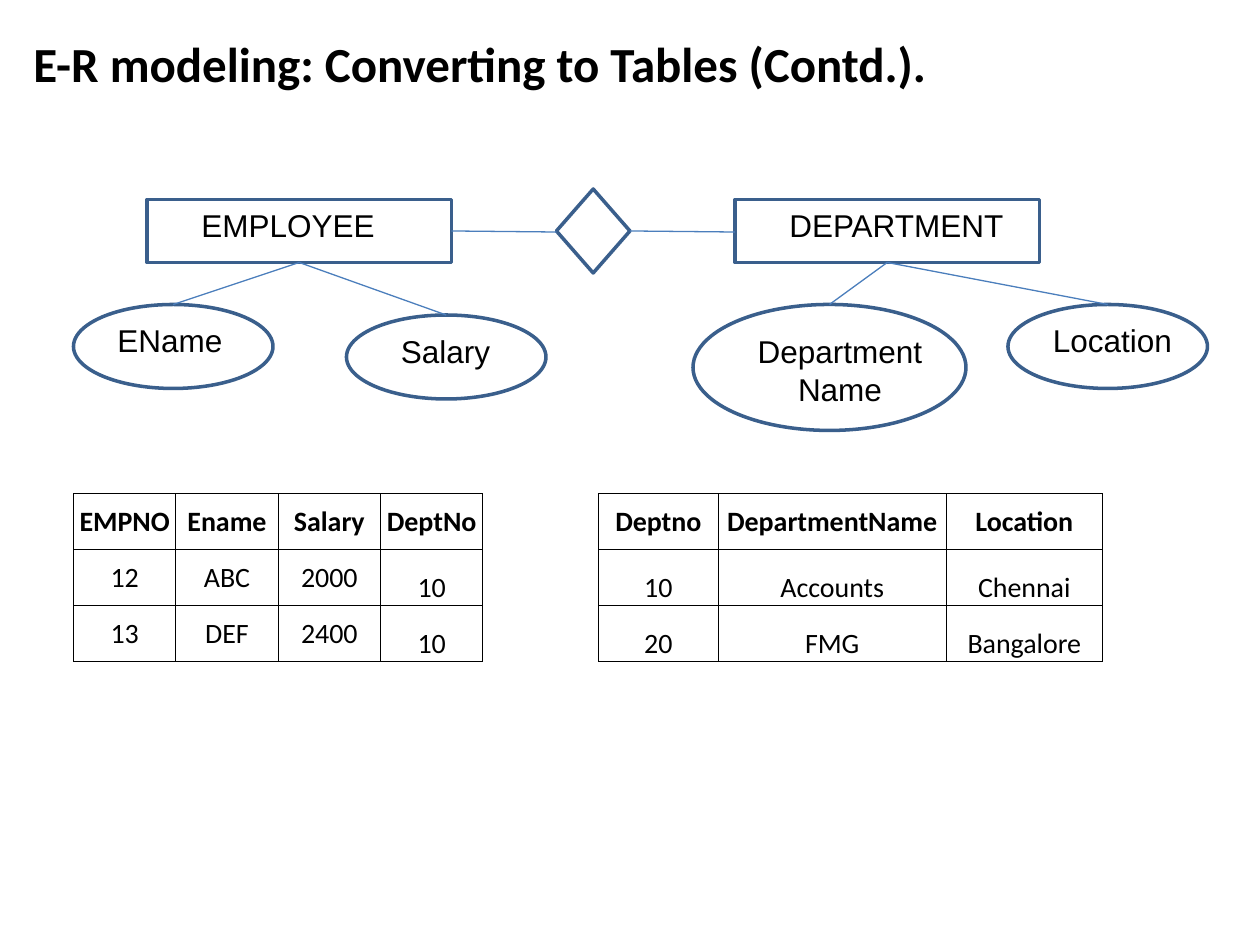
from dataclasses import dataclass

from lxml.etree import SubElement
from pptx import Presentation
from pptx.dml.color import RGBColor
from pptx.enum.shapes import MSO_CONNECTOR, MSO_SHAPE
from pptx.enum.text import MSO_ANCHOR, MSO_AUTO_SIZE, PP_ALIGN
from pptx.oxml.ns import qn
from pptx.util import Emu, Inches, Pt


@dataclass(frozen=True)
class Theme:
    ink: str = "000000"
    outline: str = "3A5F8C"
    link: str = "4B7EBC"
    heading_font: str = "Calibri"
    label_font: str = "Arial"
    title_size: int = 28
    label_size: int = 18
    cell_size: int = 16
    outline_width: float = 2
    link_width: float = 0.75
    border_width: float = 0.5


@dataclass(frozen=True)
class Area:
    """Columns and rows of the slide grid."""
    column: float
    row: float
    columns: float
    rows: float

    def lengths(self) -> list[Emu]:
        return [grid(n) for n in (self.column, self.row, self.columns, self.rows)]

    @property
    def middle(self) -> float:
        return self.column + self.columns / 2

    @property
    def right(self) -> float:
        return self.column + self.columns

    @property
    def bottom(self) -> float:
        return self.row + self.rows


@dataclass(frozen=True)
class Attribute:
    area: Area
    label: str
    label_area: Area
    wraps: bool = False


@dataclass(frozen=True)
class Entity:
    area: Area
    label: str
    label_area: Area
    attributes: tuple[Attribute, ...]


@dataclass(frozen=True)
class DataTable:
    area: Area
    column_widths: tuple[float, ...]
    rows: tuple[tuple[str, ...], ...]
    bottom_columns: tuple[int, ...]  # columns whose body text sits at the bottom


THEME = Theme()
GRID_COLUMNS, GRID_ROWS = 120, 90
LABEL_ROWS = 4.8
DIAMOND = Area(53, 18, 7, 8)

ENTITIES = (
    Entity(Area(14, 19, 29, 6), "EMPLOYEE", Area(18, 19, 19, LABEL_ROWS), (
        Attribute(Area(7, 29, 19, 8), "EName", Area(10, 30, 12.5, LABEL_ROWS)),
        Attribute(Area(33, 30, 19, 8), "Salary", Area(37, 31, 11, LABEL_ROWS)),
    )),
    Entity(Area(70, 19, 29, 6), "DEPARTMENT", Area(74, 19, 23, LABEL_ROWS), (
        Attribute(Area(66, 29, 26, 12), "Department Name", Area(70, 31, 20, 8.5), True),
        Attribute(Area(96, 29, 19, 8), "Location", Area(99.1, 30, 14, LABEL_ROWS)),
    )),
)

TABLES = (
    DataTable(Area(7, 47, 39, 16), (9.75,) * 4, (
        ("EMPNO", "Ename", "Salary", "DeptNo"),
        ("12", "ABC", "2000", "10"),
        ("13", "DEF", "2400", "10"),
    ), (3,)),
    DataTable(Area(57, 47, 48, 16), (11.4, 21.72, 14.88), (
        ("Deptno", "DepartmentName", "Location"),
        ("10", "Accounts", "Chennai"),
        ("20", "FMG", "Bangalore"),
    ), (0, 1, 2)),
)


def grid(units: float) -> Emu:
    return Inches(units * 10 / GRID_COLUMNS)


def write(frame, text: str, *, size: float, font: str, bold: bool = False,
          align=PP_ALIGN.LEFT) -> None:
    para = frame.paragraphs[0]
    para.alignment = align
    span = para.add_run()
    span.text = text
    span.font.size = Pt(size)
    span.font.name = font
    span.font.bold = bold
    span.font.color.rgb = RGBColor.from_string(THEME.ink)


def draw_outline(page, kind: MSO_SHAPE, area: Area) -> None:
    shape = page.shapes.add_shape(kind, *area.lengths())
    shape.shadow.inherit = False
    shape.fill.background()
    shape.line.color.rgb = RGBColor.from_string(THEME.outline)
    shape.line.width = Pt(THEME.outline_width)


def draw_link(page, start: tuple[float, float], end: tuple[float, float]) -> None:
    link = page.shapes.add_connector(
        MSO_CONNECTOR.STRAIGHT, *(grid(n) for n in start + end))
    link.line.color.rgb = RGBColor.from_string(THEME.link)
    link.line.width = Pt(THEME.link_width)
    SubElement(link._element.spPr, qn("a:effectLst"))


def draw_label(page, text: str, area: Area, wraps: bool = False) -> None:
    frame = page.shapes.add_textbox(*area.lengths()).text_frame
    frame.word_wrap = wraps
    frame.auto_size = MSO_AUTO_SIZE.SHAPE_TO_FIT_TEXT
    write(frame, text, size=THEME.label_size, font=THEME.label_font,
          align=PP_ALIGN.CENTER if wraps else PP_ALIGN.LEFT)


def draw_entity(page, entity: Entity) -> None:
    draw_outline(page, MSO_SHAPE.RECTANGLE, entity.area)
    draw_label(page, entity.label, entity.label_area)
    for attribute in entity.attributes:
        draw_outline(page, MSO_SHAPE.OVAL, attribute.area)
        draw_label(page, attribute.label, attribute.label_area, attribute.wraps)
        draw_link(page, (entity.area.middle, entity.area.bottom),
                  (attribute.area.middle, attribute.area.row))


def add_borders(cell) -> None:
    properties = cell._tc.get_or_add_tcPr()
    for position, side in enumerate(("lnL", "lnR", "lnT", "lnB")):
        line = SubElement(properties, qn(f"a:{side}"), w=str(Pt(THEME.border_width)))
        properties.insert(position, line)
        fill = SubElement(line, qn("a:solidFill"))
        SubElement(fill, qn("a:srgbClr"), val=THEME.ink)


def draw_table(page, data: DataTable) -> None:
    table = page.shapes.add_table(
        len(data.rows), len(data.column_widths), *data.area.lengths()).table
    table.first_row = table.horz_banding = False
    for column, width in zip(table.columns, data.column_widths):
        column.width = grid(width)
    for row_index, values in enumerate(data.rows):
        table.rows[row_index].height = grid(data.area.rows / len(data.rows))
        is_header = row_index == 0
        for column_index, value in enumerate(values):
            cell = table.cell(row_index, column_index)
            cell.fill.background()
            cell.margin_left = cell.margin_right = cell.margin_top = Inches(0.01)
            cell.margin_bottom = 0
            sits_low = not is_header and column_index in data.bottom_columns
            cell.vertical_anchor = MSO_ANCHOR.BOTTOM if sits_low else MSO_ANCHOR.MIDDLE
            write(cell.text_frame, value, size=THEME.cell_size,
                  font=THEME.heading_font, bold=is_header, align=PP_ALIGN.CENTER)
            add_borders(cell)


def main() -> None:
    deck = Presentation()
    deck.slide_width, deck.slide_height = grid(GRID_COLUMNS), grid(GRID_ROWS)
    page = deck.slides.add_slide(deck.slide_layouts[6])

    title = page.shapes.add_textbox(*Area(2, 0, 108, 12).lengths()).text_frame
    title.word_wrap = True
    title.vertical_anchor = MSO_ANCHOR.MIDDLE
    write(title, "E-R modeling: Converting to Tables (Contd.).",
          size=THEME.title_size, font=THEME.heading_font, bold=True)

    for entity in ENTITIES:
        draw_entity(page, entity)
    draw_outline(page, MSO_SHAPE.DIAMOND, DIAMOND)
    employee, department = (entity.area for entity in ENTITIES)
    for start, end in ((employee.right, DIAMOND.column),
                       (DIAMOND.right, department.column)):
        draw_link(page, (start, 22), (end, 22.1))
    for data in TABLES:
        draw_table(page, data)
    deck.save("out.pptx")


if __name__ == "__main__":
    main()
